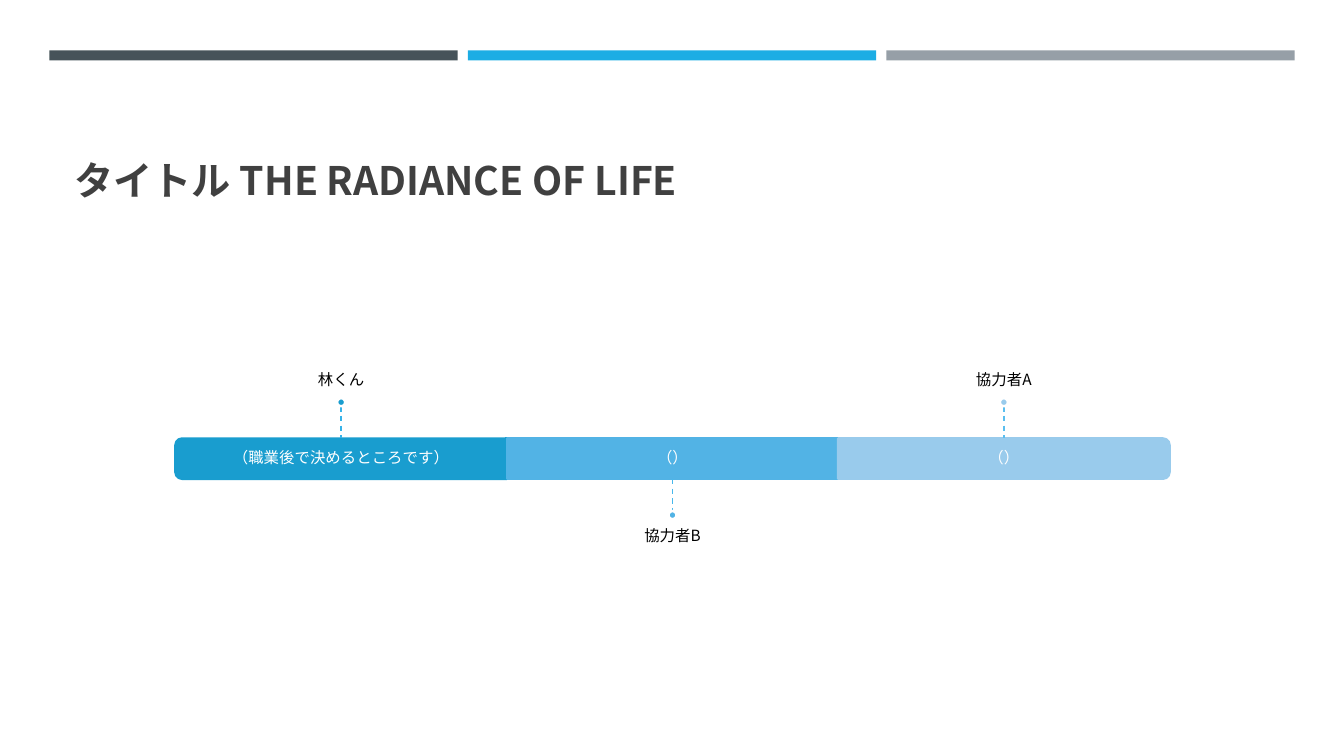
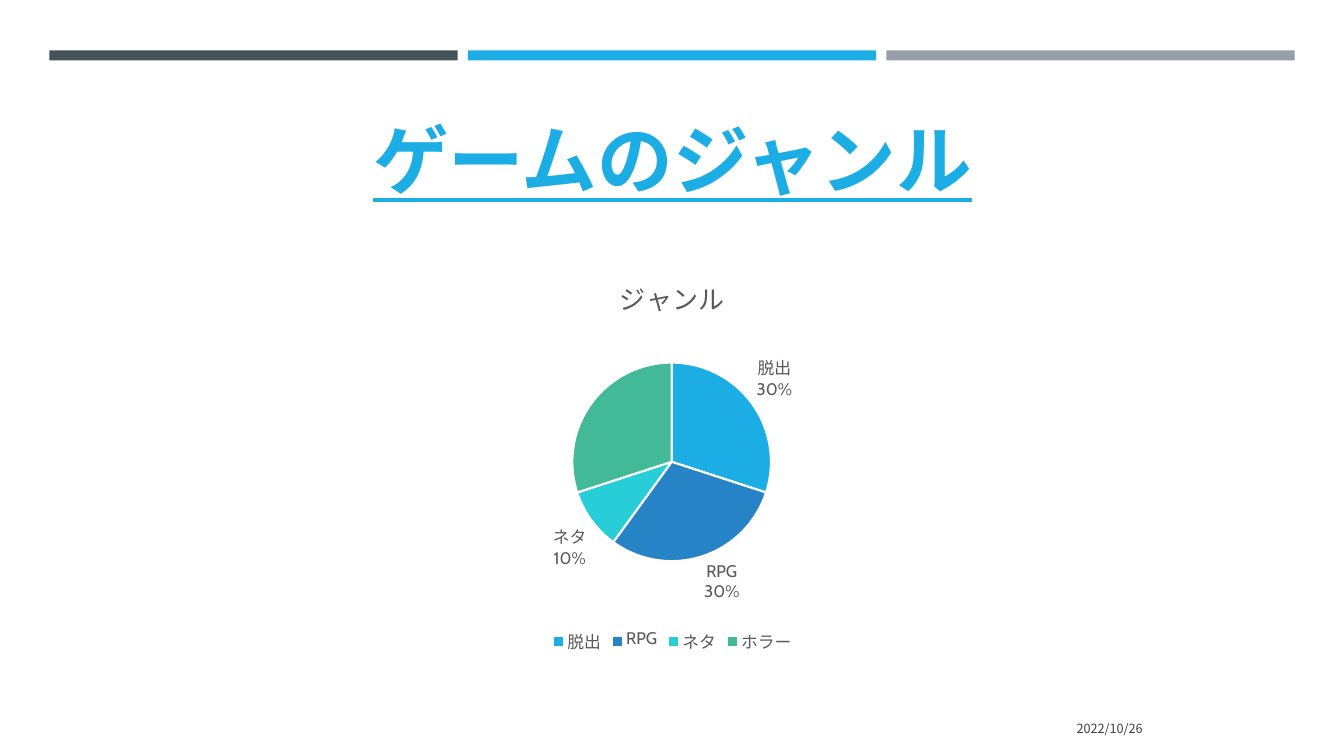
from lxml import etree
from pptx import Presentation
from pptx import util as u
from pptx.chart.data import CategoryChartData
from pptx.dml.color import RGBColor
from pptx.enum import chart as charts, dml, shapes, text
from pptx.oxml import ns

WHITE = RGBColor(0xFF, 0xFF, 0xFF)
BLACK = RGBColor(0, 0, 0)
INK = RGBColor(0x40, 0x40, 0x40)
CHART_INK = RGBColor(0x59, 0x59, 0x59)
SLATE = RGBColor(0x46, 0x53, 0x59)
BLUE = RGBColor(0x1C, 0xAD, 0xE4)
GREY = RGBColor(0x96, 0x9F, 0xA7)
SLICES = [BLUE, RGBColor(0x26, 0x83, 0xC6), RGBColor(0x27, 0xCE, 0xD7), RGBColor(0x42, 0xBA, 0x97)]
SEGMENTS = [RGBColor(0x19, 0x9D, 0xCF), RGBColor(0x52, 0xB3, 0xE5), RGBColor(0x99, 0xCB, 0xEC)]
STEMS = [RGBColor(0x36, 0xB3, 0xE9), RGBColor(0x48, 0xB8, 0xEC), RGBColor(0x5A, 0xBE, 0xEF)]
FONT = "Noto Sans CJK JP"
CHART_FONT = "Cabin"
WIDTH, HEIGHT = 13.33, 7.5
BANDS_BOX = (0.49, 0.5, 12.35, 0.1)
TITLE_BOX = (0.64, 0.77, 12.06, 1.3)
BODY_BOX = (0.64, 2.56, 12.06, 3.97)
BAR_BOX = (1.74, 4.35, 9.86, 0.4)
DATE_BOX = (8.32, 7.03, 3.11, 0.4)
LEFT, CENTER, RIGHT = text.PP_ALIGN.LEFT, text.PP_ALIGN.CENTER, text.PP_ALIGN.RIGHT
TOP, MIDDLE, BOTTOM = text.MSO_ANCHOR.TOP, text.MSO_ANCHOR.MIDDLE, text.MSO_ANCHOR.BOTTOM


def inches(box):
    return [u.Inches(length) for length in box]


def add_block(slide, kind, box, fill, line=None, rotation=0):
    shape = slide.shapes.add_shape(kind, *inches(box))
    shape.shadow.inherit = False
    shape.rotation = rotation
    shape.fill.solid()
    shape.fill.fore_color.rgb = fill
    if line is None:
        shape.line.fill.background()
    else:
        shape.line.color.rgb = line
        shape.line.width = u.Pt(1.75)


def add_text(slide, box, words, size, color, align=CENTER, anchor=MIDDLE,
             insets=(0.1, 0.05, 0.1, 0.05), spacing=None, bold=False, underline=False):
    frame = slide.shapes.add_textbox(*inches(box)).text_frame
    frame.word_wrap = True
    frame.vertical_anchor = anchor
    frame.margin_left, frame.margin_top, frame.margin_right, frame.margin_bottom = inches(insets)
    paragraph = frame.paragraphs[0]
    paragraph.alignment = align
    paragraph.line_spacing = spacing
    run = paragraph.add_run()
    run.text = words
    set_font(run.font, size, color, FONT)
    run.font.bold = bold
    run.font.underline = underline
    east_asian = etree.SubElement(run.font._element, ns.qn("a:ea"))
    east_asian.set("typeface", FONT)


def set_font(font, size, color, name):
    font.size = u.Pt(size)
    font.color.rgb = color
    font.name = name


def add_bands(slide, box):
    left, top, width, height = box
    gap = 0.1
    band = (width - 2 * gap) / 3
    for column, color in enumerate([SLATE, BLUE, GREY]):
        add_block(slide, shapes.MSO_SHAPE.RECTANGLE,
                  (left + column * (band + gap), top, band, height), color)


def add_slide(presentation, title, size, color, align=LEFT, underline=False):
    slide = presentation.slides.add_slide(presentation.slide_layouts[6])
    add_bands(slide, BANDS_BOX)
    add_text(slide, TITLE_BOX, title, size, color, align, BOTTOM, bold=True, underline=underline)
    return slide


def add_segment(slide, box, role, fill, rotation):
    left, top, width, height = box
    if rotation:
        upright = (left + (width - height) / 2, top + (height - width) / 2, height, width)
        add_block(slide, shapes.MSO_SHAPE.ROUND_2_SAME_RECTANGLE, upright, fill, fill, rotation)
    else:
        add_block(slide, shapes.MSO_SHAPE.RECTANGLE, box, fill, fill)
    add_text(slide, box, role, 11, WHITE, insets=(0.09,) * 4, spacing=0.9)


def add_callout(slide, box, name, fill, stem_color, above):
    left, top, width, height = box
    stem, dot, label_width, label_height = 0.32, 0.08, 5.48, 1.39
    center = left + width / 2
    if above:
        start, end = top - stem, top
        dot_top = start - dot
        label_top, anchor, insets = dot_top - label_height, BOTTOM, (0, 0, 0, 0.09)
    else:
        start, end = top + height, top + height + stem
        dot_top = end
        label_top, anchor, insets = dot_top + dot, TOP, (0, 0.09, 0, 0)
    add_text(slide, (center - label_width / 2, label_top, label_width, label_height),
             name, 11, BLACK, anchor=anchor, insets=insets, spacing=0.9)
    line = slide.shapes.add_connector(shapes.MSO_CONNECTOR.STRAIGHT, *inches((center, start, center, end)))
    line.line.color.rgb = stem_color
    line.line.width = u.Pt(1)
    line.line.dash_style = dml.MSO_LINE.DASH
    etree.SubElement(line._element.spPr, ns.qn("a:effectLst"))
    add_block(slide, shapes.MSO_SHAPE.OVAL, (center - dot / 2, dot_top, dot, dot), fill, WHITE)


def add_team_bar(slide, box, members):
    left, top, width, height = box
    step = width / len(members)
    for column, (name, role, rotation) in enumerate(members):
        segment = (left + column * step, top, step, height)
        add_segment(slide, segment, role, SEGMENTS[column], rotation)
        add_callout(slide, segment, name, SEGMENTS[column], STEMS[column], column % 2 == 0)


def add_genre_pie(slide, box, title, genres, unlabelled):
    data = CategoryChartData()
    data.categories = list(genres)
    data.add_series(title, list(genres.values()))
    chart = slide.shapes.add_chart(charts.XL_CHART_TYPE.PIE, *inches(box), data).chart
    set_font(chart.font, 10, BLACK, CHART_FONT)
    chart.has_title = True
    run = chart.chart_title.text_frame.paragraphs[0].add_run()
    run.text = title
    set_font(run.font, 18.6, CHART_INK, CHART_FONT)
    run.font.bold = False
    chart.has_legend = True
    chart.legend.position = charts.XL_LEGEND_POSITION.BOTTOM
    chart.legend.include_in_layout = False
    set_font(chart.legend.font, 12, CHART_INK, CHART_FONT)
    chart.plots[0].vary_by_categories = True
    series = chart.plots[0].series[0]
    for index, color in enumerate(SLICES):
        slice_format = series.points[index].format
        slice_format.fill.solid()
        slice_format.fill.fore_color.rgb = color
        slice_format.line.color.rgb = WHITE
        slice_format.line.width = u.Pt(1.5)
    labels = series.data_labels
    set_font(labels.font, 12, CHART_INK, CHART_FONT)
    labels.show_value = False
    labels.show_category_name = True
    labels.show_percentage = True
    labels.number_format = "0%"
    labels.number_format_is_linked = False
    labels.position = charts.XL_LABEL_POSITION.OUTSIDE_END
    hidden = etree.Element(ns.qn("c:dLbl"))
    etree.SubElement(hidden, ns.qn("c:idx")).set("val", str(unlabelled))
    etree.SubElement(hidden, ns.qn("c:delete")).set("val", "1")
    labels._element.insert(0, hidden)


def build_team_slide(presentation):
    slide = add_slide(presentation, "タイトル THE RADIANCE OF LIFE", 28, INK)
    add_team_bar(slide, BAR_BOX, [
        ("林くん", "（職業後で決めるところです）", 270),
        ("協力者B", "（）", 0),
        ("協力者A", "（）", 90),
    ])


def build_genre_slide(presentation):
    slide = add_slide(presentation, "ゲームのジャンル", 54, BLUE, CENTER, underline=True)
    add_genre_pie(slide, BODY_BOX, "ジャンル", {"脱出": 30, "RPG": 30, "ネタ": 10, "ホラー": 30}, 3)
    add_text(slide, DATE_BOX, "2022/10/26", 9, INK, RIGHT)


presentation = Presentation()
presentation.slide_width = u.Inches(WIDTH)
presentation.slide_height = u.Inches(HEIGHT)
build_team_slide(presentation)
build_genre_slide(presentation)
presentation.save("out.pptx")
